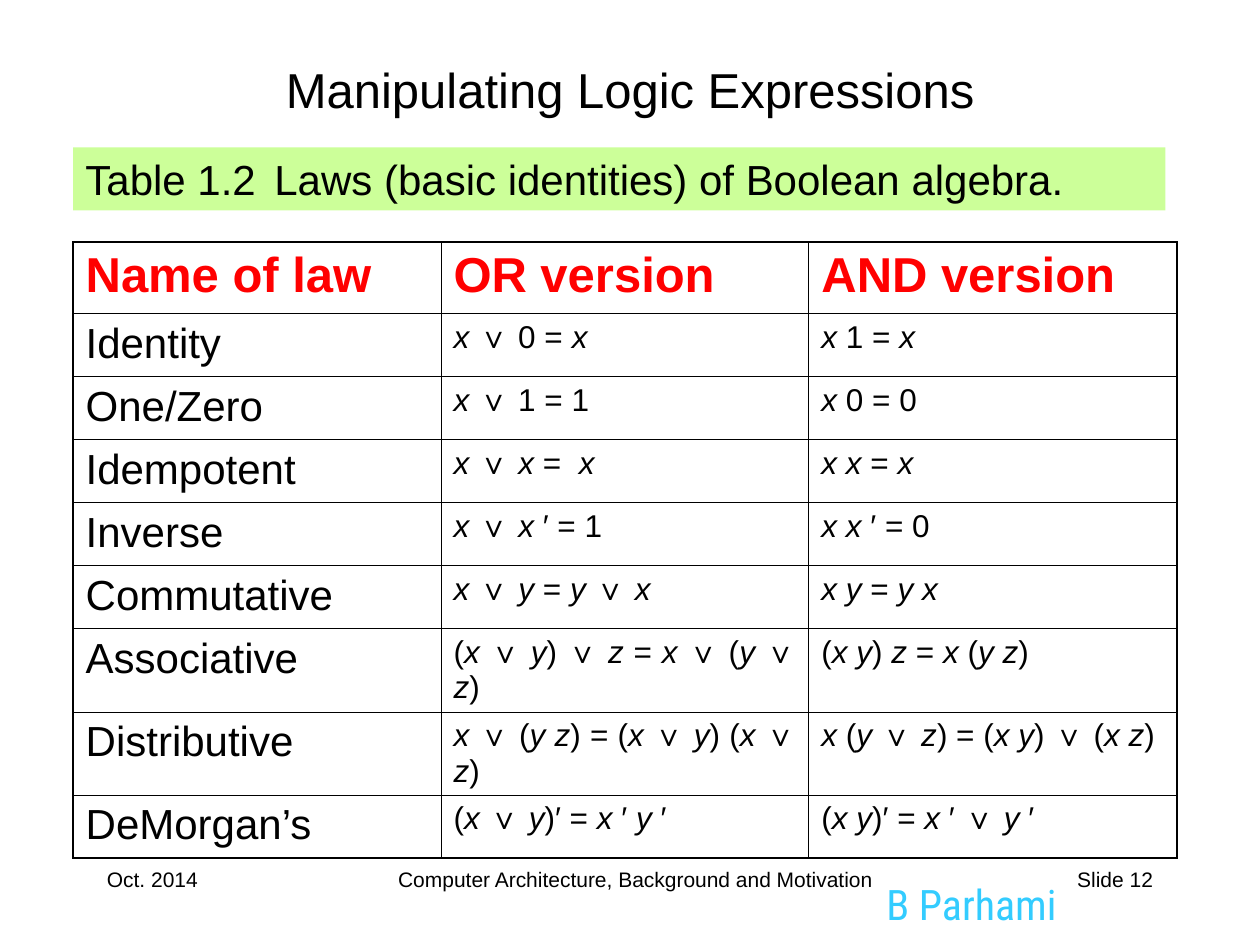
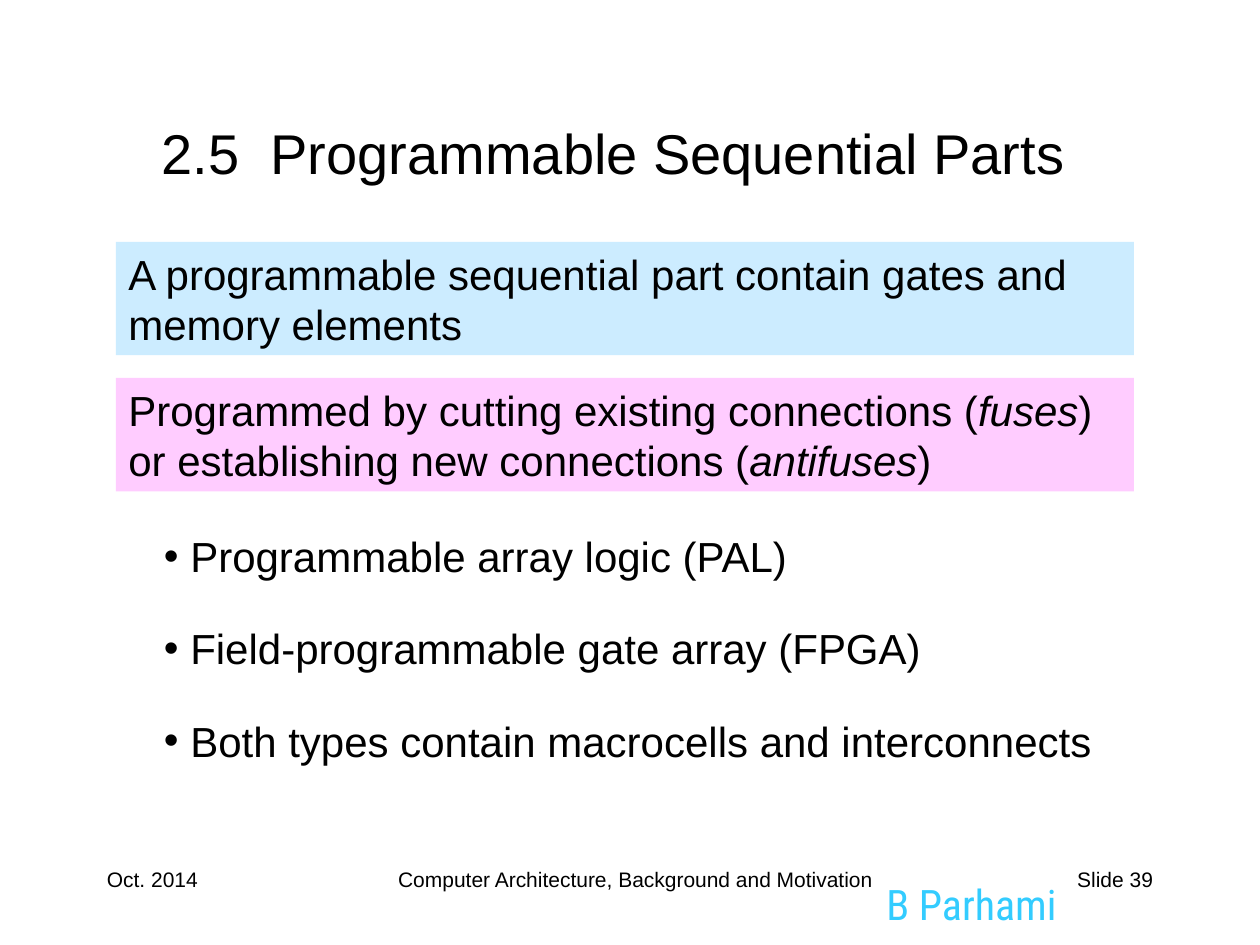
from lxml.etree import SubElement
from pptx import Presentation
from pptx.dml.color import RGBColor
from pptx.enum.shapes import MSO_SHAPE
from pptx.enum.text import MSO_ANCHOR, MSO_AUTO_SIZE, PP_ALIGN
from pptx.oxml.ns import qn
from pptx.util import Inches, Pt

BLACK = RGBColor(0x00, 0x00, 0x00)
RED = RGBColor(0xFF, 0x00, 0x00)
CYAN = RGBColor(0x33, 0xCC, 0xFF)
GREEN_BAND = RGBColor(0xCC, 0xFF, 0x99)
BLUE_BAND = RGBColor(0xCC, 0xEC, 0xFF)
PINK_BAND = RGBColor(0xFF, 0xCC, 0xFF)
OUTER_LINE, INNER_LINE = Pt(1.08), Pt(0.45)


def add_runs(paragraph, text, size, color=BLACK, font="Arial", bold=False):
    for position, piece in enumerate(text.split("*")):
        if piece:
            run = paragraph.add_run()
            run.text = piece
            run.font.name = font
            run.font.size = Pt(size)
            run.font.bold = bold
            run.font.italic = position % 2 == 1
            run.font.color.rgb = color


def add_band(slide, left, top, width, height, color, text):
    band = slide.shapes.add_shape(
        MSO_SHAPE.RECTANGLE, Inches(left), Inches(top), Inches(width), Inches(height))
    band.shadow.inherit = False
    band.fill.solid()
    band.fill.fore_color.rgb = color
    band.line.fill.background()
    band.text_frame.word_wrap = True
    band.text_frame.vertical_anchor = MSO_ANCHOR.TOP
    paragraph = band.text_frame.paragraphs[0]
    paragraph.alignment = PP_ALIGN.LEFT
    add_runs(paragraph, text, 24)


presentation = Presentation()
presentation.slide_width = Inches(10)
presentation.slide_height = Inches(7.5)

pages = [
    (5, "Manipulating Logic Expressions", 28, (0.75, 0.33, 8.5, 0.75), "Slide 12"),
    (1, "2.5  Programmable Sequential Parts", 32, (0.33, 0.67, 9.08, 1.08), "Slide 39"),
]
for layout, heading, size, place, number in pages:
    slide = presentation.slides.add_slide(presentation.slide_layouts[layout])
    title = slide.shapes.title
    title.left, title.top, title.width, title.height = map(Inches, place)
    title.text_frame.vertical_anchor = MSO_ANCHOR.MIDDLE
    title.text_frame.paragraphs[0].alignment = PP_ALIGN.CENTER
    add_runs(title.text_frame.paragraphs[0], heading, size)

    footers = [
        ("B Parhami", 7.17, 6.92, 1.08, 0.42, PP_ALIGN.CENTER, 24, CYAN, "Roboto Condensed"),
        ("Oct. 2014", 0.75, 6.83, 2.08, 0.5, PP_ALIGN.LEFT, 12, BLACK, "Arial"),
        ("Computer Architecture, Background and Motivation",
         2.42, 6.83, 5.25, 0.5, PP_ALIGN.CENTER, 12, BLACK, "Arial"),
        (number, 7.17, 6.83, 2.08, 0.5, PP_ALIGN.RIGHT, 12, BLACK, "Arial"),
    ]
    for text, left, top, width, height, alignment, size, color, font in footers:
        footer = slide.shapes.add_textbox(
            Inches(left), Inches(top), Inches(width), Inches(height))
        footer.text_frame.auto_size = MSO_AUTO_SIZE.NONE
        footer.text_frame.word_wrap = color == BLACK
        paragraph = footer.text_frame.paragraphs[0]
        paragraph.alignment = alignment
        add_runs(paragraph, text, size, color, font)

laws_slide, parts_slide = presentation.slides

add_band(laws_slide, 0.58, 1.17, 8.67, 0.5, GREEN_BAND,
         "Table 1.2\tLaws (basic identities) of Boolean algebra.")

laws = [
    ("Name of law", "OR version", "AND version"),
    ("Identity", "x ∨ 0 = x", "x 1 = x"),
    ("One/Zero", "x ∨ 1 = 1", "x 0 = 0"),
    ("Idempotent", "x ∨ x =  x", "x x = x"),
    ("Inverse", "x ∨ x ′ = 1", "x x ′ = 0"),
    ("Commutative", "x ∨ y = y ∨ x", "x y = y x"),
    ("Associative", "(x ∨ y) ∨ z = x ∨ (y ∨ z)", "(x y) z = x (y z)"),
    ("Distributive", "x ∨ (y z) = (x ∨ y) (x ∨ z)", "x (y ∨ z) = (x y) ∨ (x z)"),
    ("DeMorgan’s", "(x ∨ y)′ = x ′ y ′", "(x y)′ = x ′ ∨ y ′"),
]
last_row, last_column = len(laws) - 1, len(laws[0]) - 1
table = laws_slide.shapes.add_table(
    len(laws), len(laws[0]), Inches(0.58), Inches(1.92), Inches(8.75), Inches(4.57)).table
table.first_row = False
table.horz_banding = False
for column in table.columns:
    column.width = Inches(2.92)
for row_index, law in enumerate(laws):
    table.rows[row_index].height = Inches(0.5 if row_index else 0.57)
    for column_index, text in enumerate(law):
        cell = table.cell(row_index, column_index)
        paragraph = cell.text_frame.paragraphs[0]
        if row_index == 0:
            paragraph.space_before = Pt(7)
            add_runs(paragraph, text, 28, RED, bold=True)
        elif column_index == 0:
            paragraph.space_before = Pt(6)
            add_runs(paragraph, text, 24)
        else:
            paragraph.space_before = Pt(4.5)
            paragraph.alignment = PP_ALIGN.JUSTIFY
            formula = "".join(f"*{sign}*" if sign.isalpha() else sign for sign in text)
            add_runs(paragraph, formula, 18)

        properties = cell._tc.get_or_add_tcPr()
        edges = [("a:lnL", column_index == 0), ("a:lnR", column_index == last_column),
                 ("a:lnT", row_index == 0), ("a:lnB", row_index == last_row)]
        for tag, is_outer in edges:
            width = OUTER_LINE if is_outer else INNER_LINE
            border = SubElement(properties, qn(tag), w=str(int(width)))
            fill = SubElement(border, qn("a:solidFill"))
            SubElement(fill, qn("a:srgbClr"), val=str(BLACK))
        cell.fill.background()

bullets = parts_slide.placeholders[1]
bullets.left, bullets.top = Inches(0.92), Inches(4.16)
bullets.width, bullets.height = Inches(8.25), Inches(2.25)
bullets.text_frame.auto_size = MSO_AUTO_SIZE.NONE
bullets.text_frame.vertical_anchor = MSO_ANCHOR.TOP
items = ["Programmable array logic (PAL)", "Field-programmable gate array (FPGA)",
         "Both types contain macrocells and interconnects"]
for index, item in enumerate(items):
    paragraph = bullets.text_frame.add_paragraph() if index else bullets.text_frame.paragraphs[0]
    paragraph.space_before = Pt(24 if index else 0)
    properties = paragraph._p.get_or_add_pPr()
    properties.set("marL", str(Inches(0.49)))
    properties.set("indent", str(-Inches(0.21)))
    add_runs(paragraph, item, 24)

add_band(parts_slide, 0.92, 1.92, 8.08, 0.9, BLUE_BAND,
         "A programmable sequential part contain gates and memory elements")
add_band(parts_slide, 0.92, 3, 8.08, 0.9, PINK_BAND,
         "Programmed by cutting existing connections (*fuses*) "
         "or establishing new connections (*antifuses*)")

presentation.save("out.pptx")
